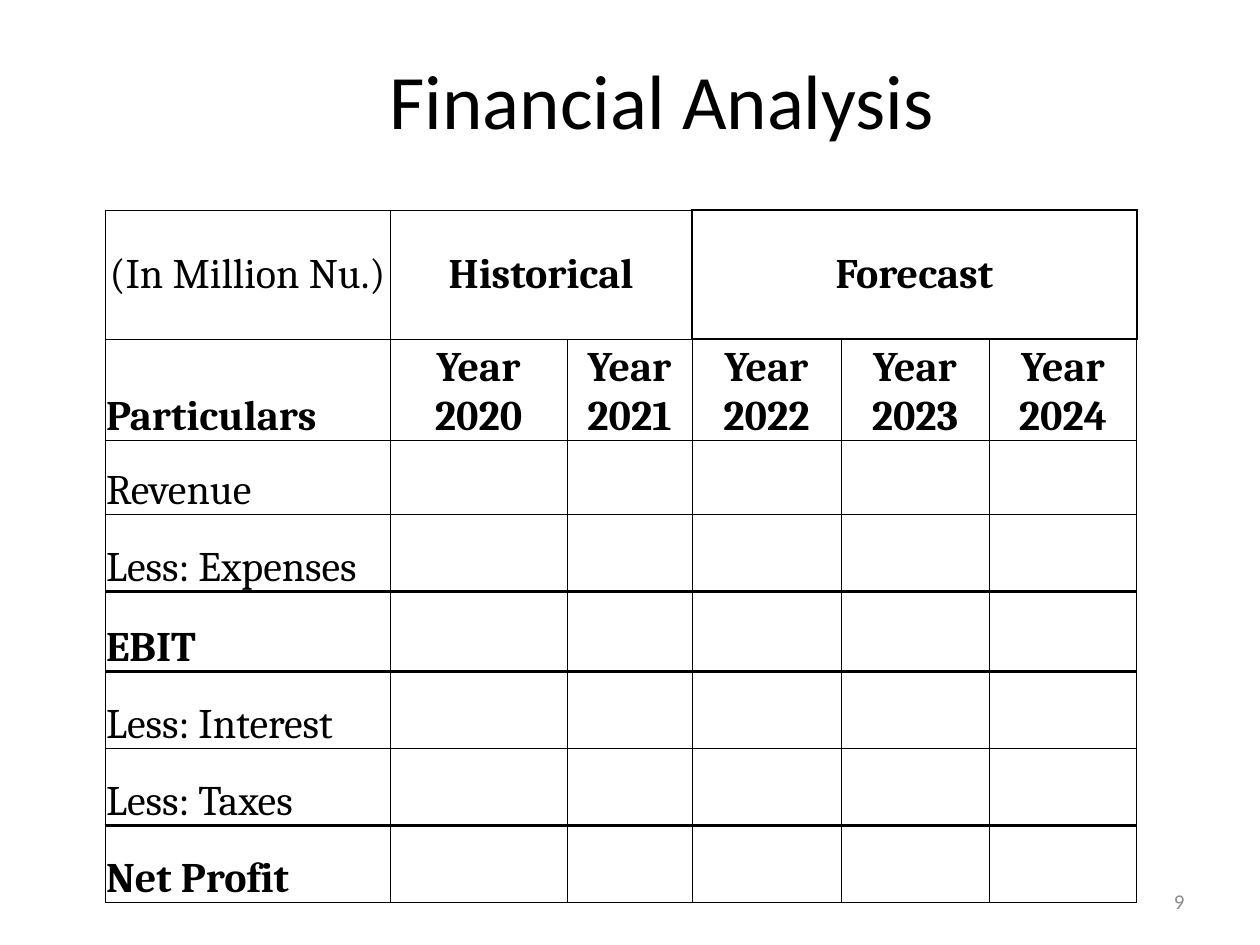
from dataclasses import dataclass

from lxml.etree import SubElement
from pptx import Presentation
from pptx.dml.color import RGBColor
from pptx.enum.text import MSO_ANCHOR as Anchor, PP_ALIGN as Align
from pptx.oxml.ns import qn
from pptx.util import Emu, Pt

PX = 914400 // 126


@dataclass(frozen=True)
class Theme:
    ink: str = "000000"
    muted: str = "8C8C8C"
    sans: str = "Calibri"
    serif: str = "Cambria"
    title_size: int = 44
    table_size: int = 24
    number_size: int = 12
    thin: float = 0.5
    medium: float = 1
    thick: float = 2


THEME = Theme()
COLUMNS = [285, 177, 125, 149, 148, 148]
ROWS = [129, 98, 74, 77, 80, 77, 77, 77]
FORECAST_COLUMN = 3
THICK_EDGES = (4, 5, 7)
YEARS = range(2020, 2025)
ITEMS = ["Revenue", "Less: Expenses", "EBIT", "Less: Interest", "Less: Taxes", "Net Profit"]
TOTALS = ("EBIT", "Net Profit")


def px(length):
    return Emu(length * PX)


def write(frame, text, *, size, font, color=THEME.ink, bold=False, align=Align.LEFT):
    para = frame.paragraphs[0]
    para.alignment = align
    span = para.add_run()
    span.text = text
    span.font.size = Pt(size)
    span.font.name = font
    span.font.bold = bold
    span.font.color.rgb = RGBColor.from_string(color)


def add_text(page, box, text, **style):
    frame = page.shapes.add_textbox(*map(px, box)).text_frame
    frame.word_wrap = True
    frame.vertical_anchor = Anchor.MIDDLE
    write(frame, text, **style)


def draw_borders(cell, weights):
    properties = cell._tc.get_or_add_tcPr()
    for side, weight in zip("LRTB", weights):
        line = SubElement(properties, qn(f"a:ln{side}"), w=str(Pt(weight)))
        fill = SubElement(line, qn("a:solidFill"))
        SubElement(fill, qn("a:srgbClr"), val=THEME.ink)


def border_weights(row, column):
    forecast = column >= FORECAST_COLUMN
    if row == 0 and forecast:
        return [THEME.medium] * 4
    right = THEME.medium if (row, column) == (0, FORECAST_COLUMN - 1) else THEME.thin
    top, bottom = (THEME.thick if edge in THICK_EDGES else THEME.thin for edge in (row, row + 1))
    if row == 1 and forecast:
        top = THEME.medium
    return [THEME.thin, right, top, bottom]


def fill_cell(cell, text, **style):
    write(cell.text_frame, text, size=THEME.table_size, font=THEME.serif, **style)


def add_financial_table(page, box):
    table = page.shapes.add_table(len(ROWS), len(COLUMNS), *map(px, box)).table
    table.first_row = table.horz_banding = False
    for column, width in zip(table.columns, COLUMNS):
        column.width = px(width)
    for row, height in zip(table.rows, ROWS):
        row.height = px(height)

    for row in range(len(ROWS)):
        for column in range(len(COLUMNS)):
            cell = table.cell(row, column)
            cell.margin_left = cell.margin_right = cell.margin_top = px(1)
            cell.margin_bottom = 0
            cell.vertical_anchor = Anchor.BOTTOM if row else Anchor.MIDDLE
            draw_borders(cell, border_weights(row, column))
            cell.fill.background()

    fill_cell(table.cell(0, 0), "(In Million Nu.)", align=Align.CENTER)
    for text, first, last in (("Historical", 1, 2), ("Forecast", FORECAST_COLUMN, 5)):
        table.cell(0, first).merge(table.cell(0, last))
        fill_cell(table.cell(0, first), text, bold=True, align=Align.CENTER)
    fill_cell(table.cell(1, 0), "Particulars", bold=True)
    for column, year in enumerate(YEARS, 1):
        fill_cell(table.cell(1, column), f"Year {year}", bold=True, align=Align.CENTER)
    for row, item in enumerate(ITEMS, 2):
        fill_cell(table.cell(row, 0), item, bold=item in TOTALS)


def add_title(page, box):
    add_text(page, box, "Financial Analysis", size=THEME.title_size, font=THEME.sans, align=Align.CENTER)


def add_page_number(page, box):
    add_text(page, box, "9", size=THEME.number_size, font=THEME.sans, color=THEME.muted, align=Align.RIGHT)


def main():
    deck = Presentation()
    deck.slide_width, deck.slide_height = px(1260), px(945)
    page = deck.slides.add_slide(deck.slide_layouts[6])
    add_page_number(page, (903, 876, 294, 50))
    add_title(page, (158, 23, 1008, 151))
    add_financial_table(page, (105, 210, sum(COLUMNS), sum(ROWS)))
    deck.save("out.pptx")


if __name__ == "__main__":
    main()
